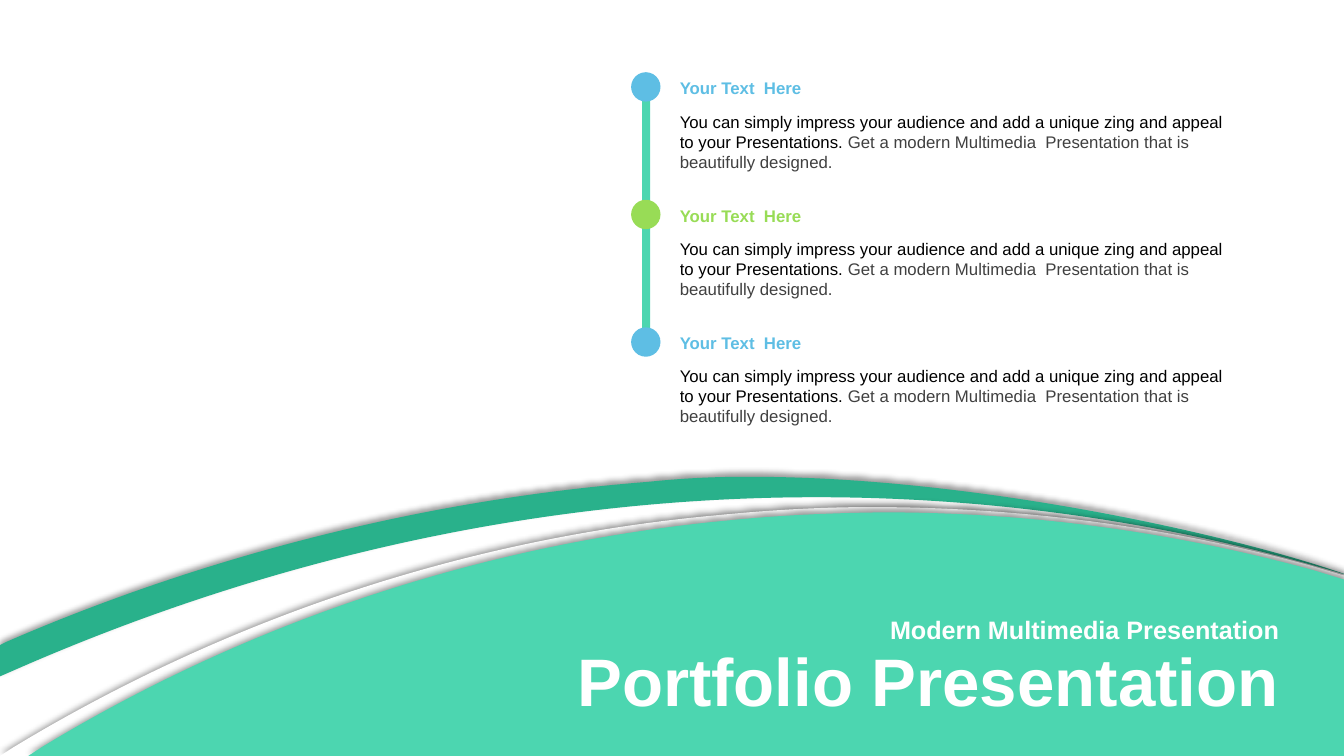
from dataclasses import dataclass

from lxml.etree import SubElement
from pptx import Presentation
from pptx.dml.color import RGBColor
from pptx.enum.shapes import MSO_SHAPE as Preset
from pptx.enum.text import MSO_ANCHOR as Anchor, MSO_AUTO_SIZE as AutoSize, PP_ALIGN as Align
from pptx.oxml.ns import qn
from pptx.shapes.autoshape import Shape
from pptx.slide import Slide
from pptx.util import Pt


@dataclass(frozen=True)
class Theme:
    font: str = "Arial"
    mint: str = "4CD6B0"
    jade: str = "29B18B"
    blue: str = "5EBEE4"
    lime: str = "98DC56"
    white: str = "FFFFFF"
    black: str = "000000"
    gray: str = "404040"
    body_size: float = 12
    subtitle_size: float = 18
    title_size: float = 48


@dataclass(frozen=True)
class Box:
    left: float
    top: float
    width: float
    height: float


@dataclass(frozen=True)
class Run:
    text: str
    color: str
    size: float
    bold: bool = False


@dataclass(frozen=True)
class Wave:
    color: str
    start: tuple[float, float]
    segments: tuple[tuple[float, ...], ...]


@dataclass(frozen=True)
class Milestone:
    heading: str
    color: str


THEME = Theme()
MILESTONE_STEP = 90.85
DOT_STEP = 91.1
LEAD_TEXT = "You can simply impress your audience and add a unique zing and appeal to your Presentations. "
DETAIL_TEXT = "Get a modern Multimedia  Presentation that is beautifully designed."

MILESTONES = [
    Milestone("Your Text  Here", color) for color in (THEME.blue, THEME.lime, THEME.blue)
]

RIBBON = Wave(THEME.jade, (528.5, 340.6), (
    (686.2, 339.1, 877, 380.2, 965.5, 411.8),
    (648, 315.4, 315.4, 344.9, 11.5, 478.1),
    (0, 483.1),
    (0, 460.8),
    (4.3, 458.6),
    (146.9, 396.7, 305.3, 356.4, 463, 344.2),
    (483.8, 342, 506.2, 340.6, 528.5, 340.6),
))
WHITE_HILL = Wave(THEME.white, (622.1, 362.2), (
    (730.8, 362.2, 837.4, 376.6, 938.2, 404.6),
    (960, 411.1),
    (960, 540),
    (0, 540),
    (10.1, 533.5),
    (159.1, 443.5, 329.8, 384.5, 513.4, 367.9),
    (550.1, 364.3, 586.1, 362.2, 622.1, 362.2),
))
MINT_HILL = Wave(THEME.mint, (629.3, 366), (
    (735.8, 365.8, 839.5, 380.2, 938.9, 407.5),
    (960, 414),
    (960, 540),
    (20.2, 540),
    (30.2, 533.5),
    (176.4, 445, 343.4, 388.1, 522.7, 371.5),
    (558.7, 367.9, 594, 366.5, 629.3, 366),
))


def paint(shape: Shape, color: str) -> None:
    shape.shadow.inherit = False
    shape.fill.solid()
    shape.fill.fore_color.rgb = RGBColor.from_string(color)
    shape.line.fill.background()


def add_upward_shadow(shape: Shape) -> None:
    effects = shape.element.spPr.find(qn("a:effectLst"))
    shadow = SubElement(effects, qn("a:outerShdw"), {
        "blurRad": str(Pt(4)), "dist": str(Pt(3)), "dir": "16200000",
        "algn": "b", "rotWithShape": "0",
    })
    color = SubElement(shadow, qn("a:srgbClr"), val=THEME.black)
    SubElement(color, qn("a:alpha"), val="40000")


def bend_edges(shape: Shape, segments: tuple[tuple[float, ...], ...]) -> None:
    edges = list(shape.element.spPr.iter(qn("a:lnTo")))
    for edge, segment in zip(edges, segments):
        if len(segment) == 2:
            continue
        curve = SubElement(edge.getparent(), qn("a:cubicBezTo"))
        for x, y in zip(segment[0::2], segment[1::2]):
            SubElement(curve, qn("a:pt"), x=str(Pt(x) - shape.left), y=str(Pt(y) - shape.top))
        edge.getparent().replace(edge, curve)


def add_wave(slide: Slide, wave: Wave) -> None:
    corners = [(Pt(x), Pt(y)) for *_, x, y in (wave.start, *wave.segments)]
    builder = slide.shapes.build_freeform(*corners[0])
    builder.add_line_segments(corners[1:], close=True)
    shape = builder.convert_to_shape()
    bend_edges(shape, wave.segments)
    paint(shape, wave.color)
    add_upward_shadow(shape)


def add_preset(slide: Slide, preset: Preset, box: Box, color: str) -> None:
    shape = slide.shapes.add_shape(
        preset, Pt(box.left), Pt(box.top), Pt(box.width), Pt(box.height)
    )
    paint(shape, color)


def write(shape: Shape, runs: list[Run], align: Align = Align.LEFT,
          anchor: Anchor = Anchor.TOP, line_spacing: float = 1.0) -> None:
    frame = shape.text_frame
    paragraph = frame.paragraphs[0]
    frame_format = {"word_wrap": True, "auto_size": AutoSize.NONE, "vertical_anchor": anchor}
    paragraph_format = {"alignment": align, "line_spacing": line_spacing}
    for target, values in ((frame, frame_format), (paragraph, paragraph_format)):
        for name, value in values.items():
            setattr(target, name, value)
    for item in runs:
        run = paragraph.add_run()
        run.text = item.text
        font_format = {"name": THEME.font, "size": Pt(item.size), "bold": item.bold}
        for name, value in font_format.items():
            setattr(run.font, name, value)
        run.font.color.rgb = RGBColor.from_string(item.color)


def add_text(slide: Slide, box: Box, runs: list[Run], align: Align = Align.LEFT,
             anchor: Anchor = Anchor.TOP) -> None:
    shape = slide.shapes.add_textbox(Pt(box.left), Pt(box.top), Pt(box.width), Pt(box.height))
    write(shape, runs, align, anchor)


def add_milestone(slide: Slide, index: int, milestone: Milestone) -> None:
    top = 52.3 + index * MILESTONE_STEP
    add_preset(slide, Preset.OVAL, Box(450.8, 51.6 + index * DOT_STEP, 21, 21), milestone.color)
    add_text(slide, Box(478.5, top, 410.4, 21.6),
             [Run(milestone.heading, milestone.color, THEME.body_size, True)])
    add_text(slide, Box(478.5, top + 23.6, 410.4, 51), [
        Run(LEAD_TEXT, THEME.black, THEME.body_size),
        Run(DETAIL_TEXT, THEME.gray, THEME.body_size),
    ])


def place_title(slide: Slide, box: Box, text: str) -> None:
    title = slide.shapes.title
    for name in ("left", "top", "width", "height"):
        setattr(title, name, Pt(getattr(box, name)))
    write(title, [Run(text, THEME.white, THEME.title_size, True)], Align.RIGHT, Anchor.MIDDLE, 0.9)
    title.element.getparent().append(title.element)


def main() -> None:
    presentation = Presentation()
    presentation.slide_width, presentation.slide_height = Pt(960), Pt(540)
    slide = presentation.slides.add_slide(presentation.slide_layouts[5])
    for wave in (RIBBON, WHITE_HILL):
        add_wave(slide, wave)
    add_preset(slide, Preset.RECTANGLE, Box(458.6, 69.8, 5.8, 165.6), THEME.mint)
    for index, milestone in enumerate(MILESTONES):
        add_milestone(slide, index, milestone)
    add_wave(slide, MINT_HILL)
    place_title(slide, Box(365.8, 460.8, 555.1, 56.2), "Portfolio Presentation")
    add_text(slide, Box(582.5, 438.5, 338.4, 22.3),
             [Run("Modern Multimedia Presentation", THEME.white, THEME.subtitle_size, True)],
             Align.RIGHT, Anchor.MIDDLE)
    presentation.save("out.pptx")


if __name__ == "__main__":
    main()
